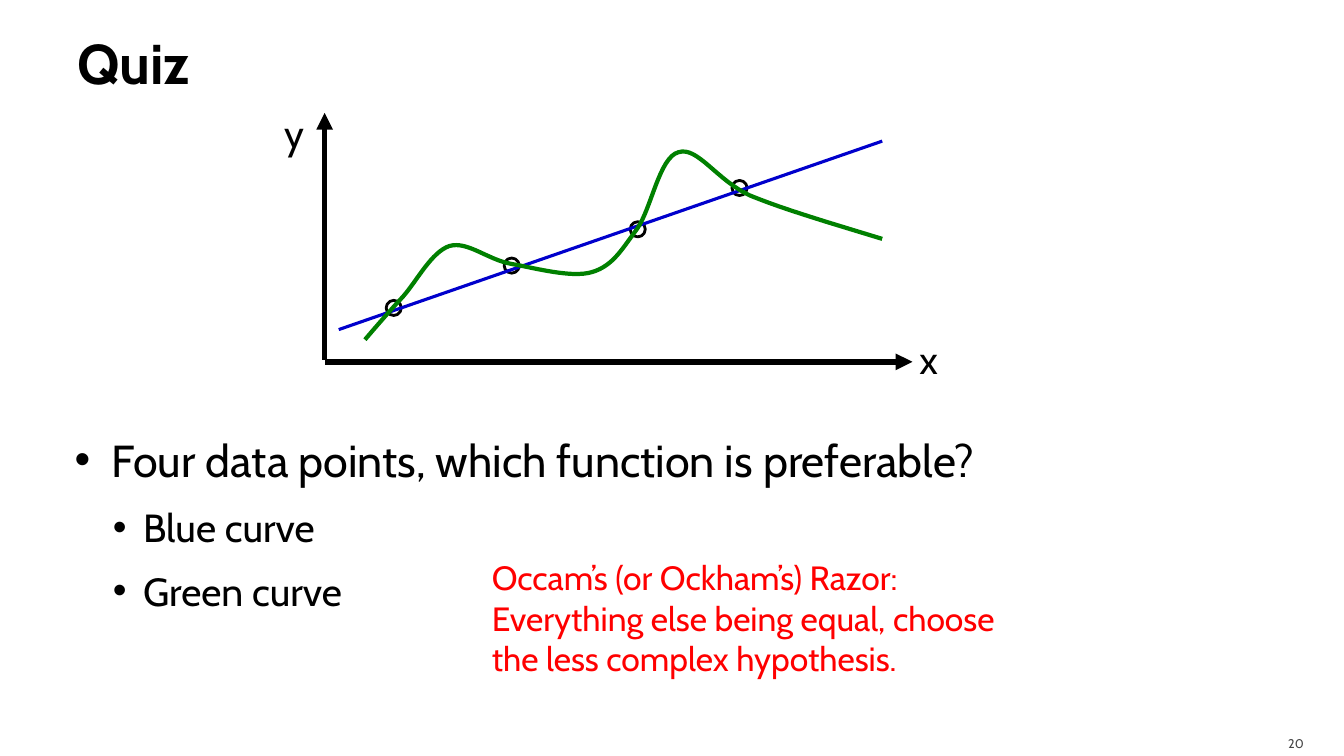
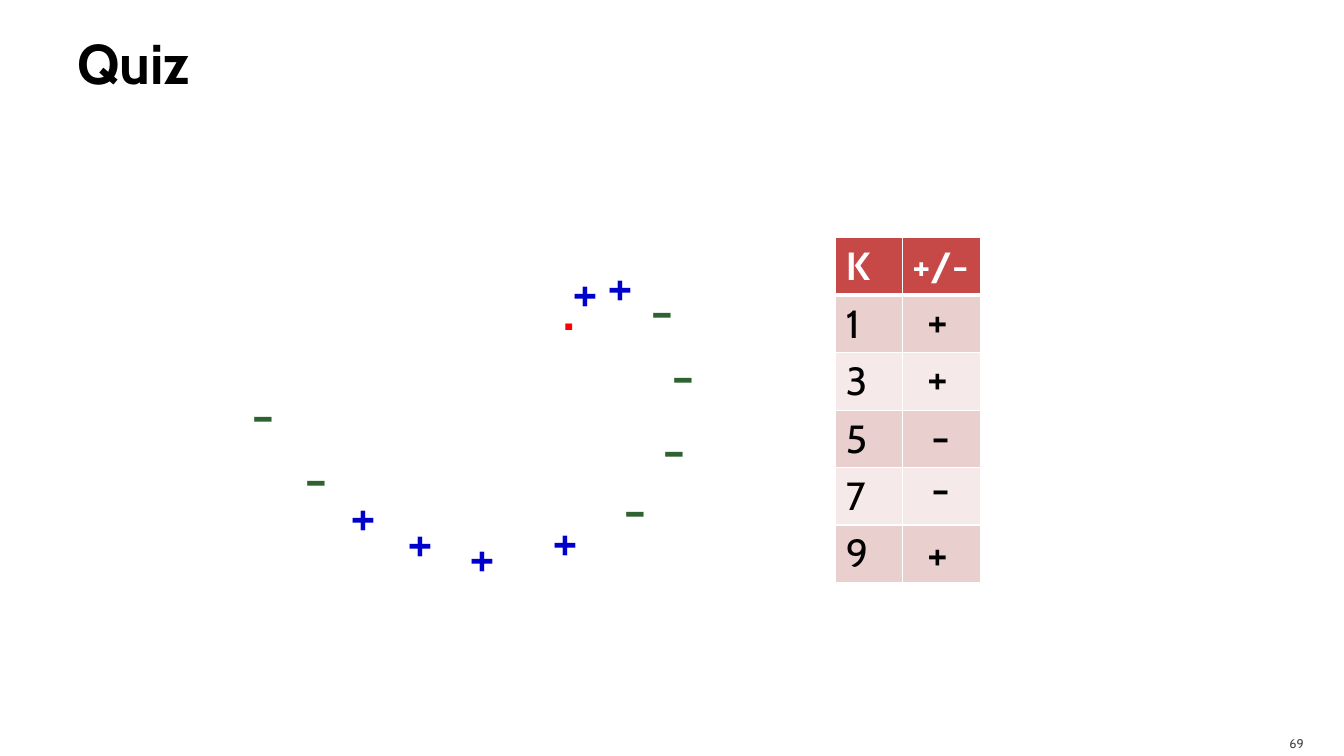
from lxml import etree
from pptx import Presentation
from pptx.dml.color import RGBColor
from pptx.enum.shapes import MSO_CONNECTOR, MSO_SHAPE
from pptx.enum.text import MSO_ANCHOR, PP_ALIGN
from pptx.oxml.ns import qn
from pptx.util import Inches, Pt

STRAIGHT, ELLIPSE = MSO_CONNECTOR.STRAIGHT, MSO_SHAPE.OVAL
TOP, MIDDLE = MSO_ANCHOR.TOP, MSO_ANCHOR.MIDDLE
LEFT, RIGHT = PP_ALIGN.LEFT, PP_ALIGN.RIGHT

FONT = "Cabin"
BLACK, WHITE, GREY = "000000", "FFFFFF", "454545"
BLUE, GREEN, DARK_GREEN, RED = "0000CC", "008000", "2F6231", "FF0000"
HEADER, BAND_DARK, BAND_LIGHT = "C64847", "EACFCF", "F5E9E9"
DEFAULT_INSETS = (0.1, 0.05, 0.1, 0.05)


def color(value):
    return RGBColor.from_string(value)


def add_element(parent, tag, **attributes):
    return etree.SubElement(parent, qn(tag), attributes)


def curve_points(start, segments, steps=16):
    """Points along a chain of cubic Bezier segments."""
    points = [start]
    for first, second, end in segments:
        begin = points[-1]
        for step in range(1, steps + 1):
            t = step / steps
            weights = ((1 - t) ** 3, 3 * t * (1 - t) ** 2, 3 * t * t * (1 - t), t ** 3)
            corners = (begin, first, second, end)
            points.append(tuple(sum(w * corner[axis] for w, corner in zip(weights, corners))
                                for axis in (0, 1)))
    return points


class Deck:
    def __init__(self):
        self.presentation = Presentation()
        self.presentation.slide_width = Inches(13.33)
        self.presentation.slide_height = Inches(7.5)
        self.slide = None

    def add_slide(self, title, number):
        self.slide = self.presentation.slides.add_slide(self.presentation.slide_layouts[6])
        self.text(0.67, 0.08, 12, 1.08, [title], 40, bold=True, anchor=MIDDLE,
                  insets=(0.1, 0.05, 0.05, 0.05))
        self.text(11.96, 7.2, 1.07, 0.3, [str(number)], 9, GREY, anchor=MIDDLE,
                  align=RIGHT, insets=(0.1, 0.05, 0.1, 0))

    def style(self, paragraph, size, fill=BLACK, bold=False):
        font = paragraph.font
        font.name, font.size, font.bold = FONT, Pt(size), bold
        font.color.rgb = color(fill)

    def frame(self, left, top, width, height, wrap=True, anchor=TOP, insets=DEFAULT_INSETS):
        box = self.slide.shapes.add_textbox(Inches(left), Inches(top), Inches(width), Inches(height))
        frame = box.text_frame
        frame.word_wrap, frame.vertical_anchor = wrap, anchor
        (frame.margin_left, frame.margin_top,
         frame.margin_right, frame.margin_bottom) = map(Inches, insets)
        return frame

    def text(self, left, top, width, height, lines, size, fill=BLACK, bold=False,
             align=LEFT, **options):
        frame = self.frame(left, top, width, height, **options)
        for index, line in enumerate(lines):
            paragraph = frame.add_paragraph() if index else frame.paragraphs[0]
            paragraph.text, paragraph.alignment = line, align
            self.style(paragraph, size, fill, bold)

    def bullets(self, left, top, width, height, items):
        levels = ((32, 0.38, -0.37), (28, 0.69, -0.3))
        frame = self.frame(left, top, width, height, insets=(0.06, 0.1, 0.1, 0.05))
        for index, (level, line) in enumerate(items):
            size, margin, indent = levels[level]
            paragraph = frame.add_paragraph() if index else frame.paragraphs[0]
            paragraph.text, paragraph.level = line, level
            properties = paragraph._p.get_or_add_pPr()
            properties.set("marL", str(Inches(margin)))
            properties.set("indent", str(Inches(indent)))
            add_element(add_element(properties, "a:buClr"), "a:srgbClr", val=BLACK)
            add_element(properties, "a:buFont", typeface="Arial")
            add_element(properties, "a:buChar", char="•")
            paragraph.space_before = Pt(6 if index else 0)
            paragraph.space_after = Pt(6)
            self.style(paragraph, size)

    def line(self, start, end, stroke, width, arrow=False):
        connector = self.slide.shapes.add_connector(STRAIGHT, *map(Inches, start + end))
        connector.line.color.rgb, connector.line.width = color(stroke), Pt(width)
        if arrow:
            add_element(connector.line._get_or_add_ln(), "a:tailEnd", type="triangle")
        add_element(connector._element.spPr, "a:effectLst")

    def circle(self, left, top, diameter):
        shape = self.slide.shapes.add_shape(ELLIPSE, Inches(left), Inches(top),
                                            Inches(diameter), Inches(diameter))
        shape.shadow.inherit = False
        shape.fill.solid()
        shape.fill.fore_color.rgb = color(WHITE)
        shape.line.color.rgb, shape.line.width = color(BLACK), Pt(2)

    def curve(self, start, segments, stroke, width):
        points = [(Inches(x), Inches(y)) for x, y in curve_points(start, segments)]
        builder = self.slide.shapes.build_freeform(*points[0])
        builder.add_line_segments(points[1:], close=False)
        shape = builder.convert_to_shape()
        shape.shadow.inherit = False
        shape.fill.background()
        shape.line.color.rgb, shape.line.width = color(stroke), Pt(width)
        add_element(shape.line._get_or_add_ln(), "a:round")

    def sign(self, left, top, symbol, size, fill, width, height):
        self.text(left, top, width, height, [symbol], size, fill, wrap=False)

    def table(self, left, top, column_widths, row_height, rows):
        table = self.slide.shapes.add_table(
            len(rows), len(column_widths), Inches(left), Inches(top),
            Inches(sum(column_widths)), Inches(row_height * len(rows))).table
        for column, width in zip(table.columns, column_widths):
            column.width = Inches(width)
        for row_index, values in enumerate(rows):
            is_header = row_index == 0
            fill = HEADER if is_header else (BAND_LIGHT, BAND_DARK)[row_index % 2]
            for column_index, value in enumerate(values):
                cell = table.cell(row_index, column_index)
                self.borders(cell, top=3 if row_index == 1 else 1, bottom=3 if is_header else 1)
                cell.fill.solid()
                cell.fill.fore_color.rgb = color(fill)
                paragraph = cell.text_frame.paragraphs[0]
                paragraph.text = value
                self.style(paragraph, 28, WHITE if is_header else BLACK, is_header)

    def borders(self, cell, top, bottom):
        properties = cell._tc.get_or_add_tcPr()
        for side, width in (("L", 1), ("R", 1), ("T", top), ("B", bottom)):
            border = add_element(properties, f"a:ln{side}", w=str(Pt(width)))
            add_element(add_element(border, "a:solidFill"), "a:srgbClr", val=WHITE)


def function_slide(deck):
    deck.add_slide("Quiz", 20)
    deck.bullets(0.67, 4.19, 12, 2.97, [
        (0, "Four data points, which function is preferable?"),
        (1, "Blue curve"),
        (1, "Green curve"),
    ])

    # Data points and the two candidate functions
    for left, top in ((3.83, 2.98), (5, 2.56), (6.25, 2.2), (7.26, 1.79)):
        deck.circle(left, top, 0.15)
    deck.line((3.36, 3.27), (8.75, 1.4), BLUE, 2.25)
    deck.curve((3.62, 3.37), [
        ((3.74, 3.23), (3.86, 3.09), (4, 2.94)),
        ((4.14, 2.78), (4.28, 2.5), (4.46, 2.44)),
        ((4.64, 2.39), (4.84, 2.58), (5.08, 2.62)),
        ((5.31, 2.66), (5.67, 2.76), (5.87, 2.7)),
        ((6.08, 2.64), (6.17, 2.47), (6.32, 2.27)),
        ((6.46, 2.07), (6.54, 1.56), (6.73, 1.51)),
        ((6.92, 1.45), (7.11, 1.79), (7.44, 1.94)),
        ((7.78, 2.08), (8.26, 2.22), (8.75, 2.37)),
    ], GREEN, 3)

    # Axes
    deck.line((3.22, 3.57), (3.22, 1.12), BLACK, 4, arrow=True)
    deck.line((3.22, 3.59), (9.05, 3.59), BLACK, 4, arrow=True)
    deck.text(9.02, 3.28, 0.4, 0.57, ["x"], 28, wrap=False)
    deck.text(2.72, 1.04, 0.38, 0.57, ["y"], 28, wrap=False)

    # Answer
    deck.text(4.78, 5.48, 5.26, 1.31, [
        "Occam’s (or Ockham’s) Razor:",
        "Everything else being equal, choose the less complex hypothesis.",
    ], 24, RED)


def neighbor_slide(deck):
    deck.add_slide("Quiz", 69)

    # Labelled examples and the query point
    for left, top in ((4.56, 5.12), (5.38, 4.97), (3.94, 4.98),
                      (5.58, 2.5), (5.93, 2.44), (3.38, 4.72)):
        deck.sign(left, top, "+", 40, BLUE, 0.48, 0.77)
    for left, top in ((6.47, 4.06), (6.35, 2.68), (6.56, 3.33),
                      (2.4, 3.72), (2.92, 4.35), (6.09, 4.66)):
        deck.sign(left, top, "-", 40, DARK_GREEN, 0.34, 0.77)
    deck.text(5.47, 2.47, 0.64, 1.01, ["."], 54, RED, anchor=MIDDLE)

    # Prediction for each K, with the answers laid over the empty column
    rows = [("K", "+/-")] + [(str(k), "") for k in range(1, 10, 2)]
    deck.table(8.29, 2.36, (0.66, 0.78), 0.57, rows)
    for symbol, top in (("+", 2.86), ("+", 3.42), ("-", 4.01), ("-", 4.52), ("+", 5.17)):
        left, width = (9.1, 0.43) if symbol == "+" else (9.14, 0.32)
        deck.sign(left, top, symbol, 32, BLACK, width, 0.64)


def main():
    deck = Deck()
    function_slide(deck)
    neighbor_slide(deck)
    deck.presentation.save("out.pptx")


if __name__ == "__main__":
    main()
